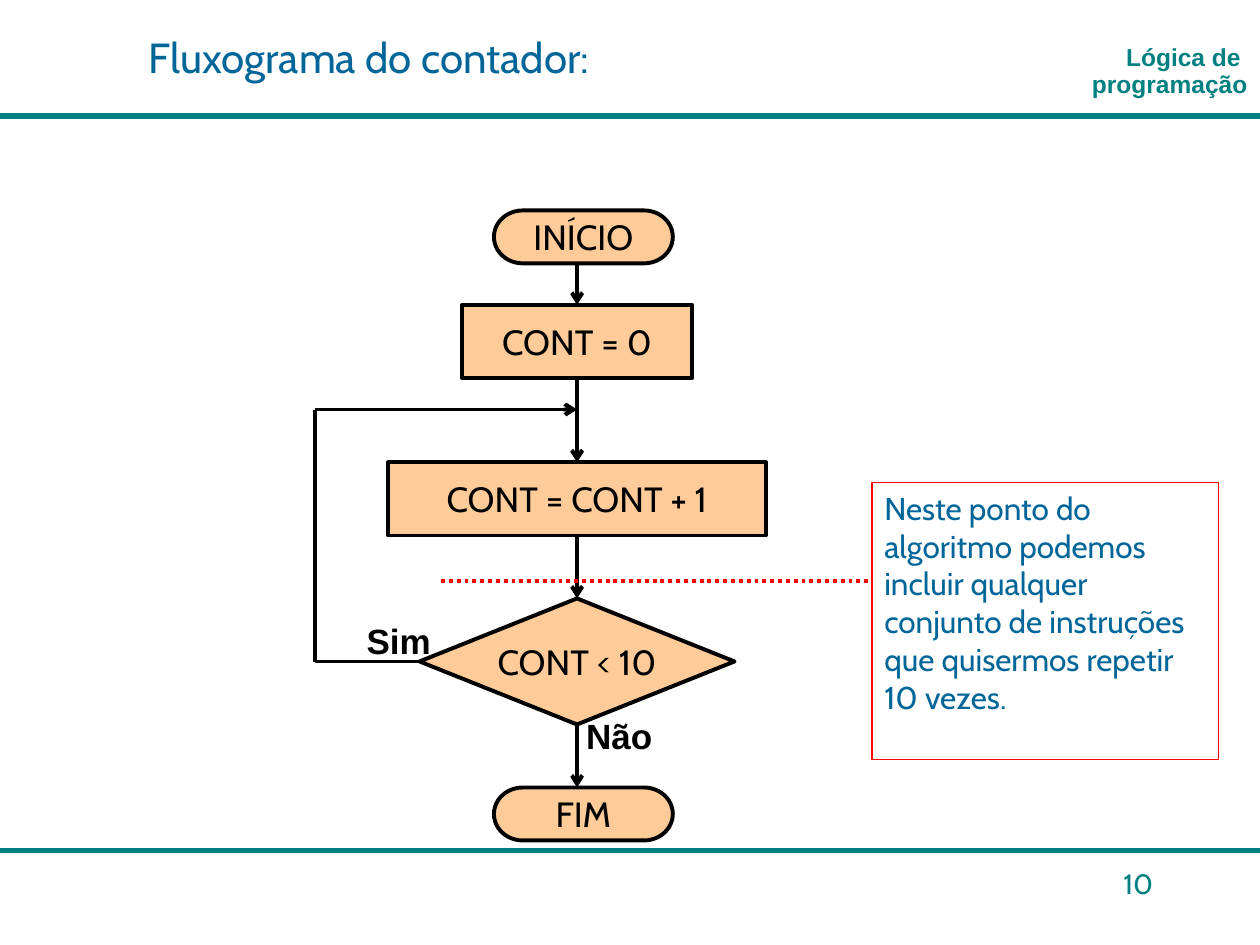
from pptx import Presentation
from pptx.dml.color import RGBColor
from pptx.enum.dml import MSO_LINE
from pptx.enum.shapes import MSO_CONNECTOR, MSO_SHAPE
from pptx.enum.text import MSO_ANCHOR, PP_ALIGN
from pptx.oxml.ns import qn
from pptx.util import Inches, Pt
from lxml import etree

LINE = MSO_CONNECTOR.STRAIGHT
ROUND = MSO_SHAPE.FLOWCHART_TERMINATOR
STEP = MSO_SHAPE.FLOWCHART_PROCESS
TEST = MSO_SHAPE.FLOWCHART_DECISION
RECT = MSO_SHAPE.RECTANGLE
DOTS = MSO_LINE.ROUND_DOT
TOP, MIDDLE, BOTTOM = MSO_ANCHOR.TOP, MSO_ANCHOR.MIDDLE, MSO_ANCHOR.BOTTOM
LEFT, CENTER, RIGHT = PP_ALIGN.LEFT, PP_ALIGN.CENTER, PP_ALIGN.RIGHT

TEAL, BLUE, BLACK = "008080", "006699", "000000"
RED, PEACH = "FF0000", "FFCC99"


def color(code):
    return RGBColor.from_string(code)


def write(shape, text, size, code, font="Cabin", bold=False,
          align=LEFT, anchor=TOP, wrap=True, space=1.0):
    frame = shape.text_frame
    frame.word_wrap = wrap
    frame.vertical_anchor = anchor
    para = frame.paragraphs[0]
    para.text = text
    para.alignment = align
    para.line_spacing = space
    for run in para.runs:
        run.font.size = Pt(size)
        run.font.name = font
        run.font.bold = bold
        run.font.color.rgb = color(code)


def label(slide, x, y, w, h, text, size, code, **style):
    box = slide.shapes.add_textbox(Inches(x), Inches(y), Inches(w), Inches(h))
    write(box, text, size, code, **style)
    return box


def node(slide, kind, x, y, w, h, edge, width, fill=None):
    shape = slide.shapes.add_shape(kind, Inches(x), Inches(y),
                                   Inches(w), Inches(h))
    shape.shadow.inherit = False
    if fill:
        shape.fill.solid()
        shape.fill.fore_color.rgb = color(fill)
    else:
        shape.fill.background()
    shape.line.color.rgb = color(edge)
    shape.line.width = Pt(width)
    return shape


def line(slide, x1, y1, x2, y2, code=BLACK, width=2.25, arrow=False,
         start=None, end=None):
    link = slide.shapes.add_connector(LINE, Inches(x1), Inches(y1),
                                      Inches(x2), Inches(y2))
    link.line.color.rgb = color(code)
    link.line.width = Pt(width)
    if arrow:
        tail = etree.SubElement(link.line._get_or_add_ln(), qn("a:tailEnd"))
        tail.set("type", "arrow")
    etree.SubElement(link._element.spPr, qn("a:effectLst"))
    if start:
        link.begin_connect(*start)
    if end:
        link.end_connect(*end)
    return link


def header(slide, x, y, w):
    title = label(slide, x + 0.58, y + 0.25, 5.25, 0.5,
                  "Fluxograma do contador:", 24, BLUE, space=0.9)
    title.text_frame.margin_left = Inches(0.6)
    label(slide, x + 1.5, y + 0.25, w - 1.5, 0.58,
          "Lógica de \nprogramação", 14, TEAL, font="Arial", bold=True,
          align=RIGHT, anchor=BOTTOM, space=0.9)
    line(slide, x, y + 0.92, x + w, y + 0.92, TEAL, 3)


def footer(slide, x, y, w):
    line(slide, x, y, x + w, y, TEAL, 3)
    label(slide, x + w - 1.67, y + 0.08, 0.92, 0.5, "10", 16, TEAL,
          align=RIGHT)


def chart(slide, x, y):
    """Flowchart with its loop on the left edge x and its first node at y."""
    axis = x + 2.08

    def place(kind, text, top, w, h, shift=0):
        shape = node(slide, kind, axis + shift - w / 2, y + top, w, h,
                     BLACK, 2.25, PEACH)
        write(shape, text, 20, BLACK, align=CENTER, anchor=MIDDLE, wrap=False)
        return shape

    # Nodes, from top to bottom
    place(ROUND, "INÍCIO", 0, 1.42, 0.42, 0.05)
    zero = place(STEP, "CONT = 0", 0.75, 1.83, 0.58)
    add = place(STEP, "CONT = CONT + 1", 2, 3, 0.58)
    test = place(TEST, "CONT < 10", 3.08, 2.5, 1)
    place(ROUND, "FIM", 4.58, 1.42, 0.42, 0.05)

    # Arrows down the axis
    for top, low, start, end in (
        (0.42, 0.75, None, (zero, 0)),
        (1.33, 2, (zero, 2), (add, 0)),
        (2.58, 3.08, (add, 2), (test, 0)),
        (4.08, 4.58, (test, 2), None),
    ):
        line(slide, axis, y + top, axis, y + low, arrow=True,
             start=start, end=end)

    # Loop back
    back, turn = y + 1.58, y + 3.58
    line(slide, x, turn, axis - 1.25, turn, end=(test, 1))
    line(slide, x, turn, x, back)
    line(slide, x, back, axis, back, arrow=True)

    # Branch labels
    for text, left, top in (("Sim", 0.08, 3.25), ("Não", 1.83, 4)):
        label(slide, x + left, y + top, 1.17, 0.33, text, 20, BLACK,
              font="Arial", bold=True, align=CENTER, anchor=MIDDLE,
              wrap=False)


def note(slide, x, y, w, h):
    lead = line(slide, x - 3.42, y + 0.78, x, y + 0.78, RED)
    lead.line.dash_style = DOTS
    box = node(slide, RECT, x, y, w, h, RED, 0.75)
    write(box, "Neste ponto do algoritmo podemos incluir qualquer conjunto "
          "de instruções que quisermos repetir 10 vezes.", 18, BLUE)


def main():
    deck = Presentation()
    deck.slide_width, deck.slide_height = Inches(10), Inches(7.5)
    slide = deck.slides.add_slide(deck.slide_layouts[6])
    header(slide, 0, 0, 10)
    footer(slide, 0, 6.75, 10)
    chart(slide, 2.5, 1.67)
    note(slide, 6.92, 3.83, 2.75, 2.2)
    deck.save("out.pptx")


if __name__ == "__main__":
    main()
